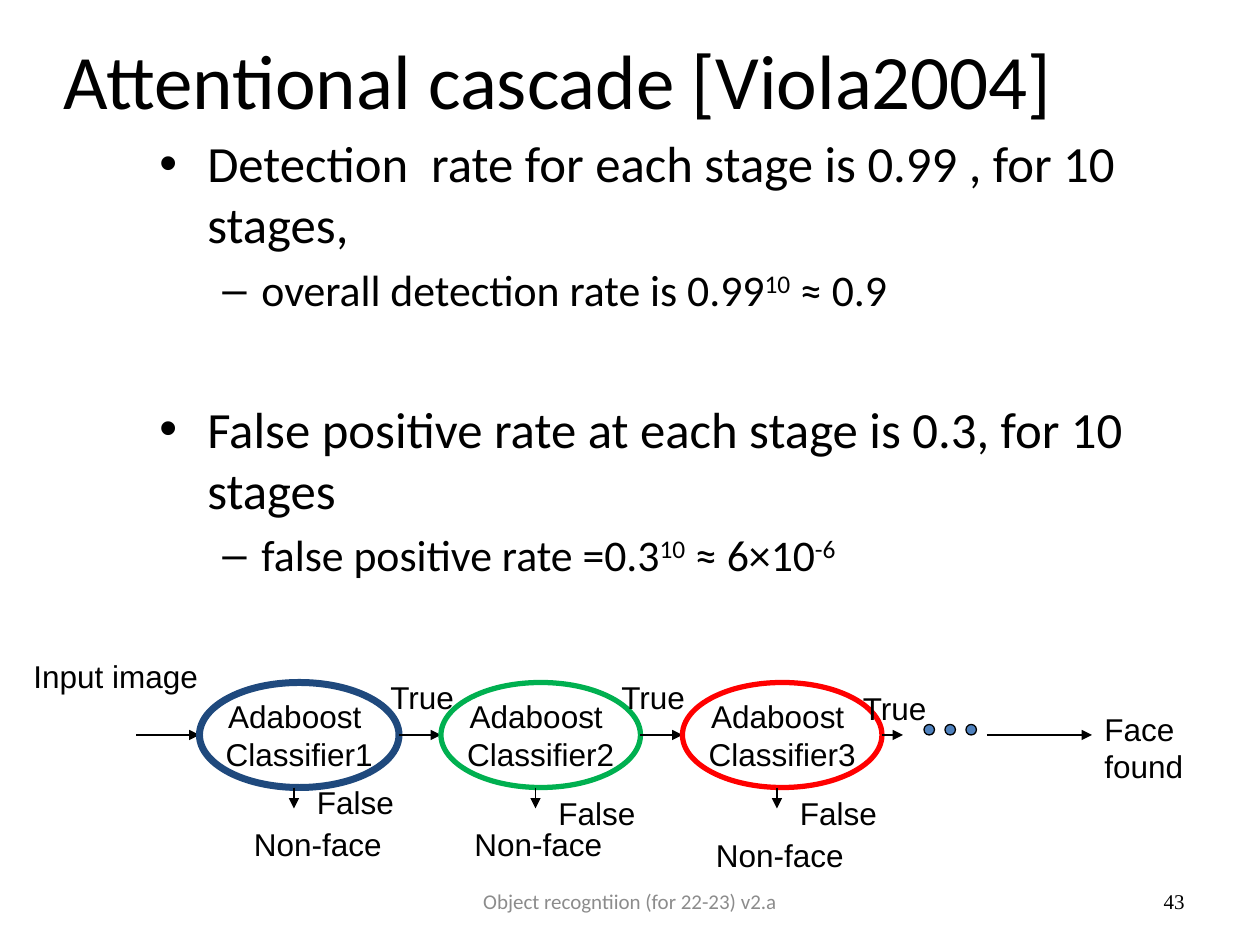
from lxml import etree
from pptx import Presentation, util as u
from pptx.dml.color import RGBColor
from pptx.enum import shapes, text
from pptx.oxml import ns

BLACK = RGBColor(0x00, 0x00, 0x00)
GREY = RGBColor(0x8C, 0x8C, 0x8C)
NAVY = RGBColor(0x1F, 0x49, 0x7D)
GREEN = RGBColor(0x00, 0xB0, 0x50)
RED = RGBColor(0xFF, 0x00, 0x00)
BLUE = RGBColor(0x4F, 0x81, 0xBD)
COLUMNS, ROWS = 120, 90
CELL = u.Inches(10) // COLUMNS
LEFT, CENTER, RIGHT = text.PP_ALIGN.LEFT, text.PP_ALIGN.CENTER, text.PP_ALIGN.RIGHT


def cells(*lengths):
    """Turn grid columns or rows into slide lengths."""
    return [round(length * CELL) for length in lengths]


def within(box, column, row):
    """Give the grid position of a place inside a box."""
    return box[0] + column, box[1] + row


def add_run(paragraph, words, size, font="Calibri", color=BLACK, raised=False):
    """Add one styled run, raised when it is an exponent."""
    run = paragraph.add_run()
    run.text = words
    run.font.size = u.Pt(size)
    run.font.name = font
    run.font.color.rgb = color
    if raised:
        run.font._element.set("baseline", "30000")


def fill_lines(frame, lines, size, font, color=BLACK, align=LEFT):
    """Write one paragraph per line into a text frame."""
    for index, line in enumerate(lines):
        paragraph = frame.add_paragraph() if index else frame.paragraphs[0]
        paragraph.alignment = align
        add_run(paragraph, line, size, font, color)


def add_line_of_text(slide, box, words, size, font="Calibri", color=BLACK, align=CENTER):
    """Place wrapped, vertically centred text in a box."""
    frame = slide.shapes.add_textbox(*cells(*box)).text_frame
    frame.word_wrap = True
    frame.vertical_anchor = text.MSO_ANCHOR.MIDDLE
    fill_lines(frame, [words], size, font, color, align)


def add_label(slide, place, width, *lines):
    """Place an unwrapped diagram label."""
    frame = slide.shapes.add_textbox(*cells(*place, width, 1.2 + 3.6 * len(lines))).text_frame
    frame.word_wrap = False
    fill_lines(frame, lines, 18, "Arial")


def add_arrow(slide, start, across=0, down=0):
    """Draw an arrow from a grid position."""
    end = within(start, across, down)
    arrow = slide.shapes.add_connector(shapes.MSO_CONNECTOR.STRAIGHT, *cells(*start, *end))
    arrow.line.color.rgb = BLACK
    arrow.line.width = u.Pt(0.75)
    etree.SubElement(arrow.line._get_or_add_ln(), ns.qn("a:tailEnd"), type="triangle")
    etree.SubElement(arrow._element.spPr, ns.qn("a:effectLst"))


def add_ellipse(slide, place, width, height, outline, weight, fill=None):
    """Draw an outlined ellipse."""
    ellipse = slide.shapes.add_shape(shapes.MSO_SHAPE.OVAL, *cells(*place, width, height))
    ellipse.shadow.inherit = False
    ellipse.line.color.rgb = outline
    ellipse.line.width = u.Pt(weight)
    if fill is None:
        ellipse.fill.background()
    else:
        ellipse.fill.solid()
        ellipse.fill.fore_color.rgb = fill
    return ellipse


def add_rates(slide, box):
    """Write the bulleted rates, with alternating plain and raised runs."""
    frame = slide.shapes.add_textbox(*cells(*box)).text_frame
    frame.word_wrap = True
    levels = [(29, 0.38, 0.38, "•"), (25, 0.81, 0.31, "–")]
    rates = [
        (0, 5.8, ["Detection  rate for each stage is 0.99 , for 10 stages,"]),
        (1, 5, ["overall detection rate is 0.99", "10", " ≈ 0.9"]),
        (0, 47, ["False positive rate at each stage is 0.3, for 10 stages"]),
        (1, 5, ["false positive rate =0.3", "10", " ≈ 6×10", "-6"]),
    ]
    for index, (level, gap, parts) in enumerate(rates):
        size, margin, hanging, bullet = levels[level]
        paragraph = frame.add_paragraph() if index else frame.paragraphs[0]
        paragraph.level = level
        paragraph.space_before = u.Pt(gap)
        properties = paragraph._p.get_or_add_pPr()
        properties.set("marL", str(u.Inches(margin)))
        properties.set("indent", str(-u.Inches(hanging)))
        etree.SubElement(properties, ns.qn("a:buFont"), typeface="Arial")
        etree.SubElement(properties, ns.qn("a:buChar"), char=bullet)
        for position, part in enumerate(parts):
            add_run(paragraph, part, size, raised=position % 2 == 1)


def add_stage(slide, box, number, color, weight, exit_length, true_at, false_at, reject_at):
    """Draw one classifier with its two exits and their labels."""
    column, row, width, height = box
    classifier = add_ellipse(slide, (column, row), width, height, color, weight)
    frame = classifier.text_frame
    frame.word_wrap = False
    frame.vertical_anchor = text.MSO_ANCHOR.MIDDLE
    fill_lines(frame, ["Adaboost ", f"Classifier{number}"], 18, "Arial", align=CENTER)
    add_arrow(slide, within(box, width, height / 2), across=exit_length)
    add_arrow(slide, within(box, 9, height), down=2)
    add_label(slide, within(box, *true_at), 8.64, "True")
    add_label(slide, within(box, *false_at), 9.72, "False")
    add_label(slide, within(box, *reject_at), 14.64, "Non-face")


def add_cascade(slide, box):
    """Draw the chain of classifiers from input image to found face."""
    stages = [
        (NAVY, 4, 4, (17, -1), (10, 9), (4, 13)),
        (GREEN, 3, 4, (16, -1), (10, 10), (2, 13)),
        (RED, 3, 2, (16, 0), (10, 10), (2, 14)),
    ]
    add_label(slide, within(box, 0, 0), 18.12, "Input image")
    add_arrow(slide, within(box, 11, 8), across=6)
    for index, stage in enumerate(stages):
        add_stage(slide, (*within(box, 17 + 23 * index, 3), 19, 10), index + 1, *stage)
    for index in range(3):
        add_ellipse(slide, within(box, 86 + 2 * index, 7), 1, 1, BLACK, 0.75, BLUE)
    add_arrow(slide, within(box, 92, 8), across=10)
    add_label(slide, within(box, 102, 5), 9.96, "Face", "found")


def add_footer(slide, box):
    """Write the footer and the slide number."""
    column, row, width, height = box
    add_line_of_text(slide, (column, row, 38, height),
                     "Object recogntiion (for 22-23) v2.a", 12, color=GREY)
    add_line_of_text(slide, (column + width - 28, row, 28, height),
                     "43", 12, "Times New Roman", align=RIGHT)


def main():
    """Build and save the slide."""
    deck = Presentation()
    deck.slide_width, deck.slide_height = cells(COLUMNS, ROWS)
    slide = deck.slides.add_slide(deck.slide_layouts[6])
    add_footer(slide, (41, 83.4, 73, 4.8))
    add_line_of_text(slide, (0, 0, 108, 15), "Attentional cascade [Viola2004] ", 44)
    add_rates(slide, (14, 12, 106, 69))
    add_cascade(slide, (2, 62, 112, 22))
    deck.save("out.pptx")


if __name__ == "__main__":
    main()
